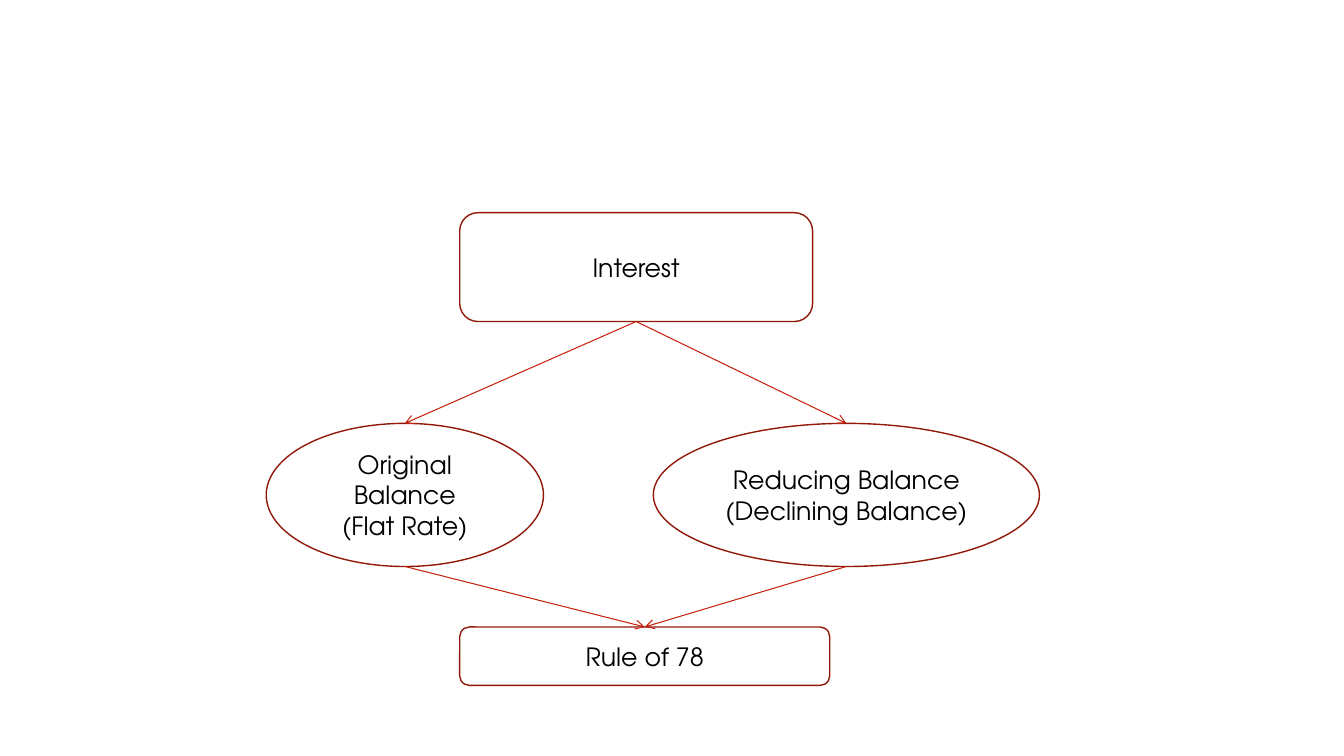
from lxml import etree
from pptx import Presentation
from pptx.dml.color import RGBColor
from pptx.enum.shapes import MSO_CONNECTOR, MSO_SHAPE
from pptx.enum.text import MSO_ANCHOR, PP_ALIGN
from pptx.oxml.ns import qn
from pptx.util import Inches, Pt

BOX = MSO_SHAPE.ROUNDED_RECTANGLE
OVAL = MSO_SHAPE.OVAL
STRAIGHT = MSO_CONNECTOR.STRAIGHT
MIDDLE = MSO_ANCHOR.MIDDLE
CENTER = PP_ALIGN.CENTER

FONT = "TeX Gyre Adventor"
BLANK_LAYOUT = 6
COLORS = {"fill": "FFFFFF", "outline": "91190A", "arrow": "C4220D", "text": "000000"}


def color(name):
    return RGBColor.from_string(COLORS[name])


def add_node(s, kind, left, top, width, height, lines):
    """Add an outlined shape with one centred paragraph per line."""
    sp = s.shapes.add_shape(kind, Inches(left), Inches(top), Inches(width), Inches(height))
    sp.shadow.inherit = False
    sp.fill.solid()
    sp.fill.fore_color.rgb = color("fill")
    sp.line.color.rgb = color("outline")
    sp.line.width = Pt(1)
    tf = sp.text_frame
    tf.word_wrap = True
    tf.vertical_anchor = MIDDLE
    for i, line in enumerate(lines):
        p = tf.add_paragraph() if i else tf.paragraphs[0]
        p.alignment = CENTER
        r = p.add_run()
        r.text = line
        r.font.name = FONT
        r.font.size = Pt(18)
        r.font.color.rgb = color("text")
    return sp


def add_arrow(s, upper, lower):
    """Draw an arrow from the bottom centre of one node to the top centre of another."""
    cx = s.shapes.add_connector(
        STRAIGHT,
        upper.left + upper.width // 2, upper.top + upper.height,
        lower.left + lower.width // 2, lower.top,
    )
    cx.line.color.rgb = color("arrow")
    cx.line.width = Pt(0.75)
    etree.SubElement(cx.line._get_or_add_ln(), qn("a:tailEnd"), type="arrow")
    etree.SubElement(cx._element.spPr, qn("a:effectLst"))


def main():
    prs = Presentation()
    prs.slide_width = Inches(13.33)
    prs.slide_height = Inches(7.5)
    s = prs.slides.add_slide(prs.slide_layouts[BLANK_LAYOUT])

    interest = add_node(s, BOX, 4.56, 2.11, 3.5, 1.08, ["Interest"])
    methods = [
        add_node(s, OVAL, 2.64, 4.2, 2.75, 1.42, ["Original Balance", "(Flat Rate)"]),
        add_node(s, OVAL, 6.48, 4.2, 3.83, 1.42, ["Reducing Balance", "(Declining Balance)"]),
    ]
    rule = add_node(s, BOX, 4.56, 6.22, 3.67, 0.58, ["Rule of 78"])
    for method in methods:
        add_arrow(s, interest, method)
        add_arrow(s, method, rule)

    prs.save("out.pptx")


if __name__ == "__main__":
    main()
